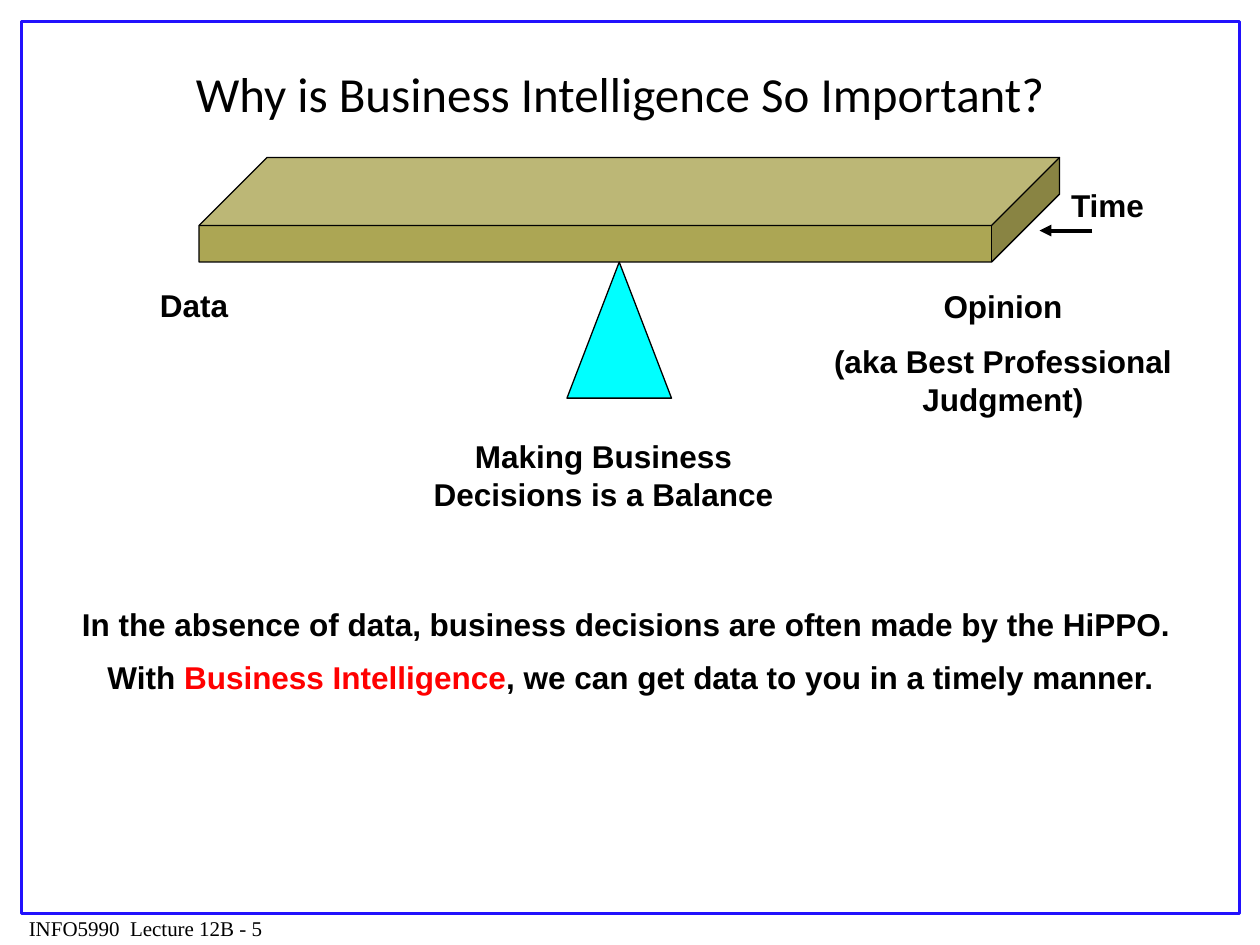
from lxml import etree
from pptx import Presentation
from pptx.dml.color import RGBColor
from pptx.enum.shapes import MSO_CONNECTOR, MSO_SHAPE
from pptx.enum.text import MSO_ANCHOR, PP_ALIGN
from pptx.oxml.ns import qn
from pptx.util import Inches, Pt

RECTANGLE, CUBE, TRIANGLE = MSO_SHAPE.RECTANGLE, MSO_SHAPE.CUBE, MSO_SHAPE.ISOSCELES_TRIANGLE
STRAIGHT = MSO_CONNECTOR.STRAIGHT
LEFT, CENTER = PP_ALIGN.LEFT, PP_ALIGN.CENTER
TOP, MIDDLE = MSO_ANCHOR.TOP, MSO_ANCHOR.MIDDLE
BLACK = "000000"


def color(hex_value):
    return RGBColor.from_string(hex_value)


def add_text(box, paragraphs, font="Arial", size=18, bold=True, align=CENTER, anchor=TOP):
    """Add a text box; each paragraph is a list of (text, hex colour) runs."""
    frame = slide.shapes.add_textbox(*map(Inches, box)).text_frame
    frame.word_wrap = True
    frame.vertical_anchor = anchor
    for index, runs in enumerate(paragraphs):
        paragraph = frame.add_paragraph() if index else frame.paragraphs[0]
        paragraph.alignment = align
        if index:
            paragraph.space_before = Pt(10)
        for text, hex_value in runs:
            run = paragraph.add_run()
            run.text = text
            run.font.name = font
            run.font.size = Pt(size)
            run.font.bold = bold
            run.font.color.rgb = color(hex_value)


prs = Presentation()
prs.slide_width, prs.slide_height = Inches(10), Inches(7.5)
slide = prs.slides.add_slide(prs.slide_layouts[6])

# Frame, plank and fulcrum
for preset, box, fill, line, width in (
    (RECTANGLE, (0.17, 0.17, 9.67, 7.08), None, "2211FD", 1.5),
    (CUBE, (1.58, 1.25, 6.83, 0.83), "ACA654", BLACK, 0.75),
    (TRIANGLE, (4.5, 2.08, 0.83, 1.08), "00FFFF", BLACK, 0.75),
):
    shape = slide.shapes.add_shape(preset, *map(Inches, box))
    shape.shadow.inherit = False
    if fill:
        shape.fill.solid()
        shape.fill.fore_color.rgb = color(fill)
    else:
        shape.fill.background()
    shape.line.color.rgb = color(line)
    shape.line.width = Pt(width)
    if preset == CUBE:
        shape.adjustments[0] = 0.65

# Arrow of time
time_arrow = slide.shapes.add_connector(
    STRAIGHT, Inches(8.67), Inches(1.83), Inches(8.25), Inches(1.83))
time_arrow.line.color.rgb = color(BLACK)
time_arrow.line.width = Pt(2.25)
etree.SubElement(time_arrow.line._get_or_add_ln(), qn("a:tailEnd"), type="triangle")
etree.SubElement(time_arrow._element.spPr, qn("a:effectLst"))

# Title and footer
add_text((0.42, 0.43, 9, 0.62), [[("Why is Business Intelligence So Important?", BLACK)]],
         font="Calibri", size=28, bold=False, anchor=MIDDLE)
add_text((0.13, 7.22, 2.82, 0.3), [[("INFO5990  Lecture 12B - 5", BLACK)]],
         font="Times New Roman", size=12, bold=False, align=LEFT)

# Labels around the balance
add_text((7.83, 1.43, 1.92, 0.4), [[("Time", BLACK)]])
add_text((0.58, 2.22, 1.92, 0.4), [[("Data", BLACK)]])
add_text((6.5, 2.23, 2.92, 1.16),
         [[("Opinion", BLACK)], [("(aka Best Professional Judgment)", BLACK)]])
add_text((3.08, 3.42, 3.42, 0.71), [[("Making Business Decisions is a Balance", BLACK)]])

# Conclusions
add_text((0.42, 4.75, 9.17, 0.4),
         [[("In the absence of data, business decisions are often made by the HiPPO. ", BLACK)]])
add_text((0.42, 5.17, 9.17, 0.4),
         [[("With ", BLACK), ("Business Intelligence", "FF0000"),
           (", we can get data to you in a timely manner.", BLACK)]])

prs.save("out.pptx")
